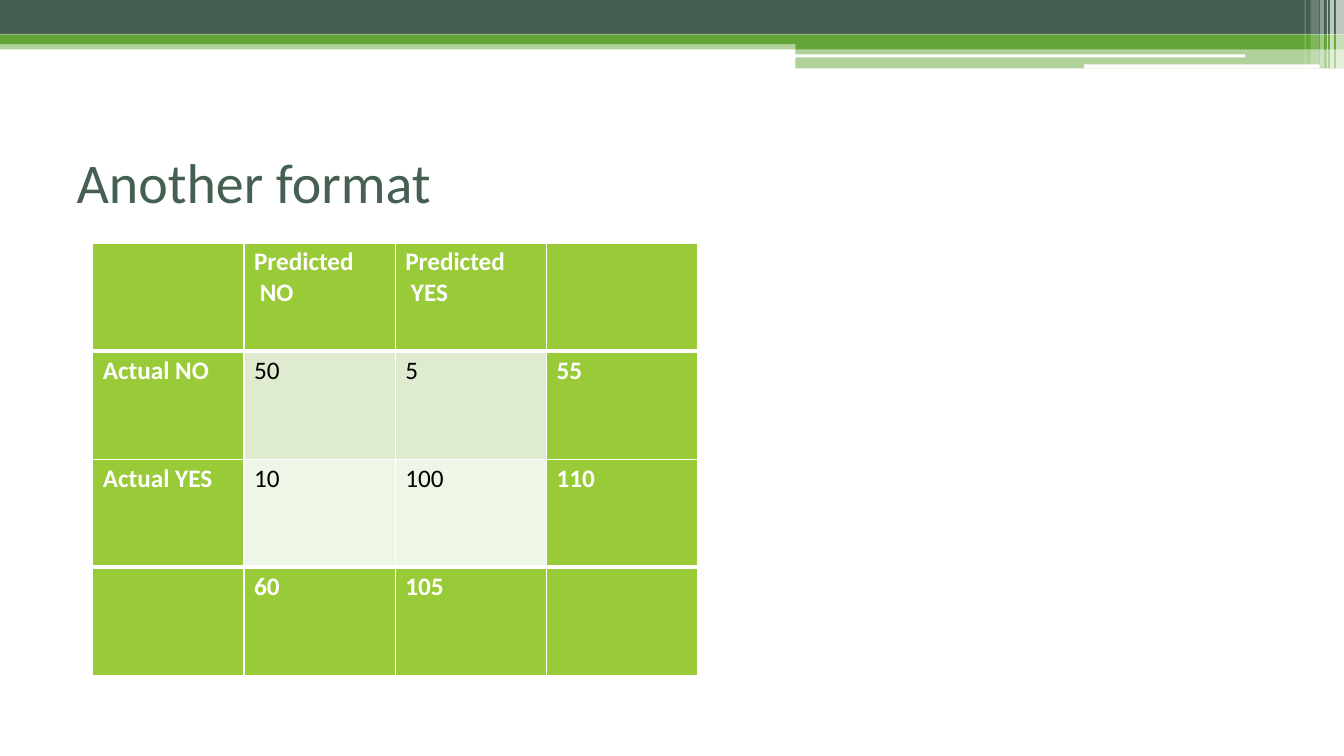
"""Build a slide with a confusion matrix under a layered green banner."""
from dataclasses import dataclass

from lxml import etree
from pptx import Presentation
from pptx.dml.color import RGBColor
from pptx.dml.fill import FillFormat
from pptx.enum.shapes import MSO_SHAPE
from pptx.oxml.ns import qn
from pptx.shapes.autoshape import Shape
from pptx.slide import Slide
from pptx.table import _Cell
from pptx.text.text import _Paragraph
from pptx.util import Inches, Pt

RECTANGLE = MSO_SHAPE.RECTANGLE
FONT = "Calibri"
WHITE, BLACK = "FFFFFF", "000000"
SLATE, GREEN, LIME = "455F51", "62A437", "99CA38"
ROW_TINTS = {1: "DEEBCE", 2: "EEF6E8"}
SLIDE_WIDTH, SLIDE_HEIGHT = 13.33, 7.5


@dataclass(frozen=True)
class Band:
    left: float
    top: float
    width: float
    height: float
    color: str
    opacity: int = 100


BACK_BANDS = [
    Band(0, 0.44, 7.89, 0.05, GREEN, 50),
    Band(0, 0, SLIDE_WIDTH, 0.34, SLATE),
]
STEP_UNIT = Inches(0.01)
STEPPED_BAND = [(1333, 34), (0, 34), (0, 44), (789, 44), (789, 49), (1333, 49)]
FRONT_BANDS = [
    Band(7.89, 0.48, 5.44, 0.2, GREEN, 50),
    Band(7.88, 0.54, 4.47, 0.03, WHITE),
    Band(10.75, 0.64, 2.34, 0.04, WHITE),
    Band(13.19, 0, 0.04, 0.68, WHITE, 65),
    Band(13.25, 0, 0.08, 0.68, WHITE, 65),
    Band(13.16, 0, 0.01, 0.68, WHITE, 60),
    Band(13.09, 0, 0.04, 0.68, WHITE, 40),
    Band(13, 0, 0.08, 0.64, WHITE, 20),
    Band(12.94, 0, 0.01, 0.64, WHITE, 30),
]

MATRIX = [
    ["", "Predicted\v NO", "Predicted\v YES", ""],
    ["Actual NO", "50", "5", "55"],
    ["Actual YES", "10", "100", "110"],
    ["", "60", "105", ""],
]
ROW_RULES = [1, 3, 1, 3, 1]
MATRIX_WIDTH, MATRIX_HEIGHT = 6, 4.29


def rgb(color: str) -> RGBColor:
    return RGBColor.from_string(color)


def paint(fill: FillFormat, color: str) -> None:
    fill.solid()
    fill.fore_color.rgb = rgb(color)


def finish(shape: Shape, color: str, opacity: int = 100) -> None:
    shape.shadow.inherit = False
    shape.line.fill.background()
    paint(shape.fill, color)
    if opacity < 100:
        tone = shape.fill._xPr.find(qn("a:solidFill"))[0]
        etree.SubElement(tone, qn("a:alpha"), val=str(opacity * 1000))


def draw_band(slide: Slide, band: Band) -> None:
    shape = slide.shapes.add_shape(
        RECTANGLE, Inches(band.left), Inches(band.top),
        Inches(band.width), Inches(band.height))
    finish(shape, band.color, band.opacity)


def draw_banner(slide: Slide) -> None:
    for band in BACK_BANDS:
        draw_band(slide, band)
    outline = slide.shapes.build_freeform(*STEPPED_BAND[0], scale=STEP_UNIT)
    outline.add_line_segments(STEPPED_BAND[1:], close=True)
    finish(outline.convert_to_shape(), GREEN)
    for band in FRONT_BANDS:
        draw_band(slide, band)


def write(paragraph: _Paragraph, text: str, size: int, color: str, bold: bool) -> None:
    paragraph.text = text
    paragraph.font.name = FONT
    paragraph.font.size = Pt(size)
    paragraph.font.bold = bold
    paragraph.font.color.rgb = rgb(color)


def draw_title(slide: Slide) -> None:
    title = slide.shapes.add_textbox(Inches(0.75), Inches(1.45), Inches(3.54), Inches(0.69))
    frame = title.text_frame
    frame.margin_left = frame.margin_top = Inches(0.01)
    frame.margin_right = frame.margin_bottom = 0
    write(frame.paragraphs[0], "Another format", 40, SLATE, False)


def rule_cell(cell: _Cell, top: int, bottom: int) -> None:
    properties = cell._tc.get_or_add_tcPr()
    for side, weight in (("L", 1), ("R", 1), ("T", top), ("B", bottom)):
        line = etree.SubElement(properties, qn(f"a:ln{side}"), w=str(Pt(weight)))
        solid = etree.SubElement(line, qn("a:solidFill"))
        etree.SubElement(solid, qn("a:srgbClr"), val=WHITE)


def draw_matrix(slide: Slide) -> None:
    matrix = slide.shapes.add_table(
        len(MATRIX), len(MATRIX[0]), Inches(0.92), Inches(2.41),
        Inches(MATRIX_WIDTH), Inches(MATRIX_HEIGHT)).table
    for r, labels in enumerate(MATRIX):
        for c, label in enumerate(labels):
            cell = matrix.cell(r, c)
            is_count = r in ROW_TINTS and c in (1, 2)
            rule_cell(cell, ROW_RULES[r], ROW_RULES[r + 1])
            paint(cell.fill, ROW_TINTS[r] if is_count else LIME)
            cell.margin_left = Inches(0.1)
            cell.margin_top = Inches(0.04)
            cell.margin_right = cell.margin_bottom = 0
            if label:
                write(cell.text_frame.paragraphs[0], label, 18,
                      BLACK if is_count else WHITE, not is_count)


def main() -> None:
    presentation = Presentation()
    presentation.slide_width = Inches(SLIDE_WIDTH)
    presentation.slide_height = Inches(SLIDE_HEIGHT)
    slide = presentation.slides.add_slide(presentation.slide_layouts[6])
    draw_banner(slide)
    draw_title(slide)
    draw_matrix(slide)
    presentation.save("out.pptx")


if __name__ == "__main__":
    main()
